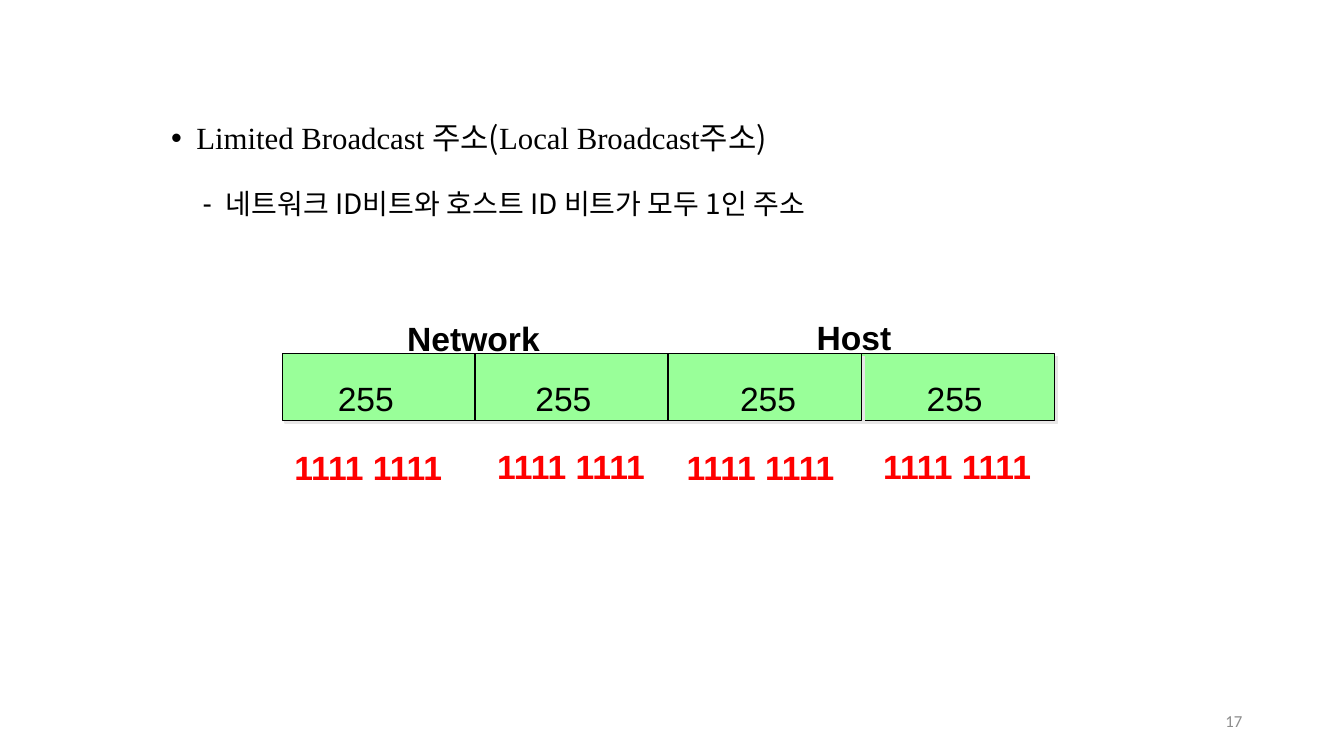
from lxml import etree
from pptx import Presentation, util as u
from pptx.dml.color import RGBColor
from pptx.enum import shapes, text
from pptx.oxml import ns, parse_xml

KOREAN, SERIF, SANS = "Noto Sans CJK KR", "Times New Roman", "Arial"
ROW_LEFT, ROW_TOP, PITCH = 2.8, 3.51, 1.913
CELL_WIDTH, CELL_HEIGHT = 1.92, 0.66


def add_text(para, words, size, font, color="000000", bold=False):
    span = para.add_run()
    span.text = words
    span.font.size, span.font.name, span.font.bold = u.Pt(size), font, bold
    span.font.color.rgb = RGBColor.from_string(color)
    east_asian = etree.SubElement(span._r.get_or_add_rPr(), ns.qn("a:ea"))
    east_asian.set("typeface", font)


def add_box(left, top, width, height, wrap=False, anchor="TOP", inset=(0.1, 0.05)):
    """Add an empty text box and return its text frame."""
    box = page.shapes.add_textbox(*map(u.Inches, (left, top, width, height)))
    frame = box.text_frame
    frame.word_wrap = wrap
    frame.vertical_anchor = text.MSO_ANCHOR[anchor]
    frame.margin_left = frame.margin_right = u.Inches(inset[0])
    frame.margin_top = frame.margin_bottom = u.Inches(inset[1])
    return frame


deck = Presentation()
deck.slide_width, deck.slide_height = u.Inches(13.33), u.Inches(7.5)
page = deck.slides.add_slide(deck.slide_layouts[6])

# Page number
para = add_box(9.42, 6.95, 3, 0.4, wrap=True, anchor="MIDDLE").paragraphs[0]
para.alignment = text.PP_ALIGN.RIGHT
add_text(para, "17", 12, "Calibri", "8C8C8C")

# Heading and its explanation
body = add_box(1.6, 0.95, 8.89, 5.29, wrap=True)
outline = [
    ("•", 0.25, 0.25, 22, [("Limited Broadcast ", SERIF), ("주소(", KOREAN),
                           ("Local Broadcast", SERIF), ("주소)", KOREAN)]),
    ("-", 0.54, 0.23, 20, [("네트워크 ID비트와 호스트 ID 비트가 모두 1인 주소", KOREAN)]),
]
for level, (bullet, margin, hanging, size, spans) in enumerate(outline):
    para = body.add_paragraph() if level else body.paragraphs[0]
    props = para._p.get_or_add_pPr()
    props.set("marL", str(u.Inches(margin)))
    props.set("indent", str(-u.Inches(hanging)))
    etree.SubElement(props, ns.qn("a:buFont")).set("typeface", SANS)
    etree.SubElement(props, ns.qn("a:buChar")).set("char", bullet)
    para.line_spacing = 1.5
    if level:
        para.space_before = u.Pt(10)
    for words, font in spans:
        add_text(para, words, size, font)

# Four address octets, the last one lowest in the stack
for column in (3, 0, 1, 2):
    octet = page.shapes.add_shape(
        shapes.MSO_SHAPE.RECTANGLE, u.Inches(ROW_LEFT + column * PITCH),
        u.Inches(ROW_TOP), u.Inches(CELL_WIDTH), u.Inches(CELL_HEIGHT))
    octet.fill.solid()
    octet.fill.fore_color.rgb = RGBColor.from_string("99FF99")
    octet.line.color.rgb = RGBColor.from_string("000000")
    octet.line.width = u.Pt(1)
    octet.shadow.inherit = False
    octet._element.spPr.find(ns.qn("a:effectLst")).append(parse_xml(
        f'<a:outerShdw {ns.nsdecls("a")} dist="{u.Pt(2.8)}" dir="2700000" algn="ctr" '
        'rotWithShape="0"><a:srgbClr val="E7E6E6"/></a:outerShdw>'))

# Decimal values, spread over the octets by tab stops
para = add_box(3.21, 3.4, 7.51, 0.91, inset=(0.14, 0.08)).paragraphs[0]
tabs = etree.SubElement(para._p.get_or_add_pPr(), ns.qn("a:tabLst"))
for stop in (1.96, 3.99, 5.84):
    etree.SubElement(tabs, ns.qn("a:tab"), pos=str(u.Inches(stop)), algn="l")
para.line_spacing = u.Pt(48.4)
add_text(para, "\t".join(["255"] * 4), 24, SANS)

# Binary values
for left, top in ((2.78, 4.08), (4.79, 4.07), (6.67, 4.08), (8.62, 4.07)):
    para = add_box(left, top, 2.03, 0.83, inset=(0.14, 0.08)).paragraphs[0]
    para.line_spacing = u.Pt(48.4)
    add_text(para, "1111 1111", 24, SANS, "FF0000", bold=True)

# Names of the two address parts
for words, left, top, width in (("Network", 3.94, 3.1, 1.53), ("Host", 8, 3.09, 0.95)):
    para = add_box(left, top, width, 0.5, anchor="MIDDLE").paragraphs[0]
    add_text(para, words, 24, SANS, bold=True)

deck.save("out.pptx")
